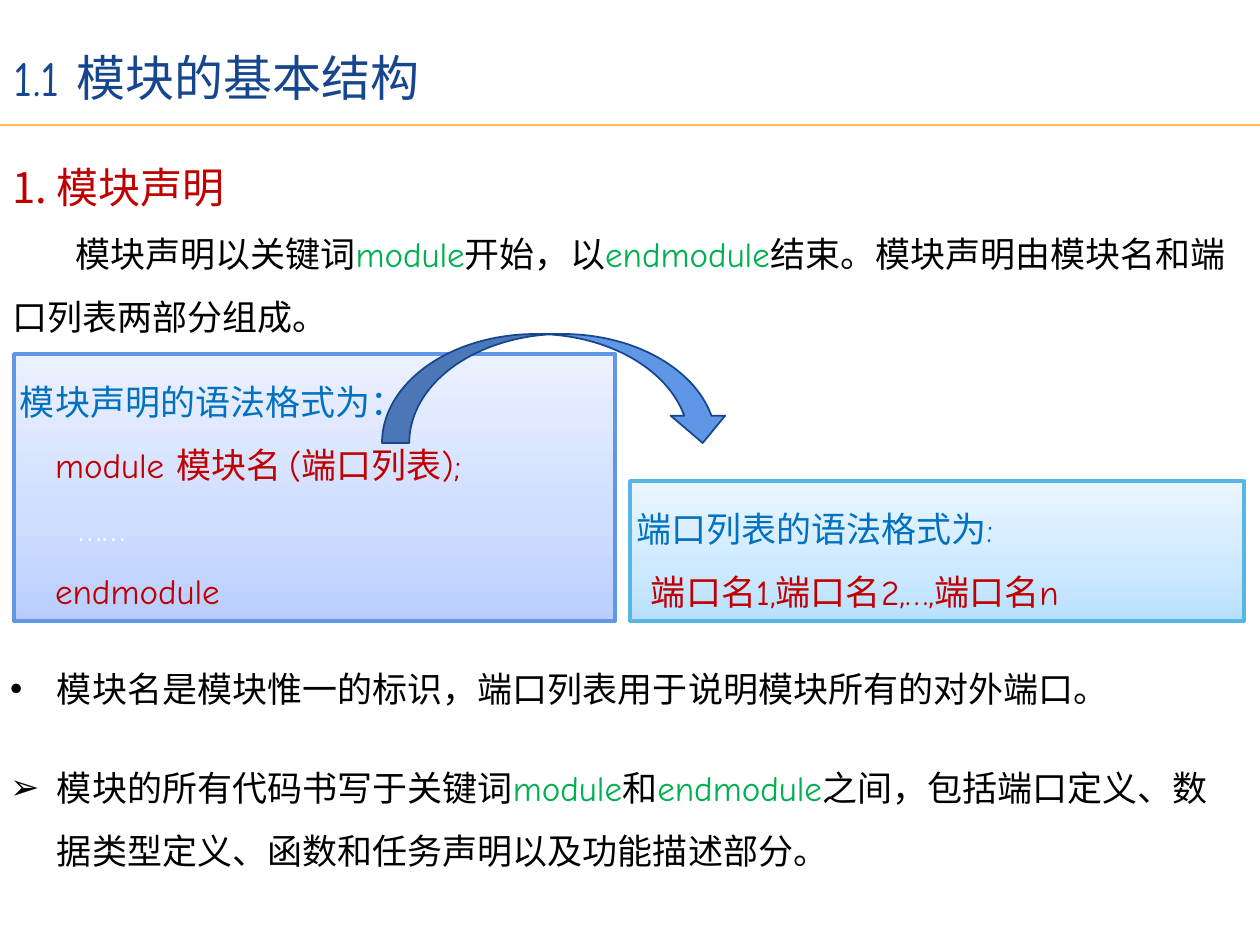
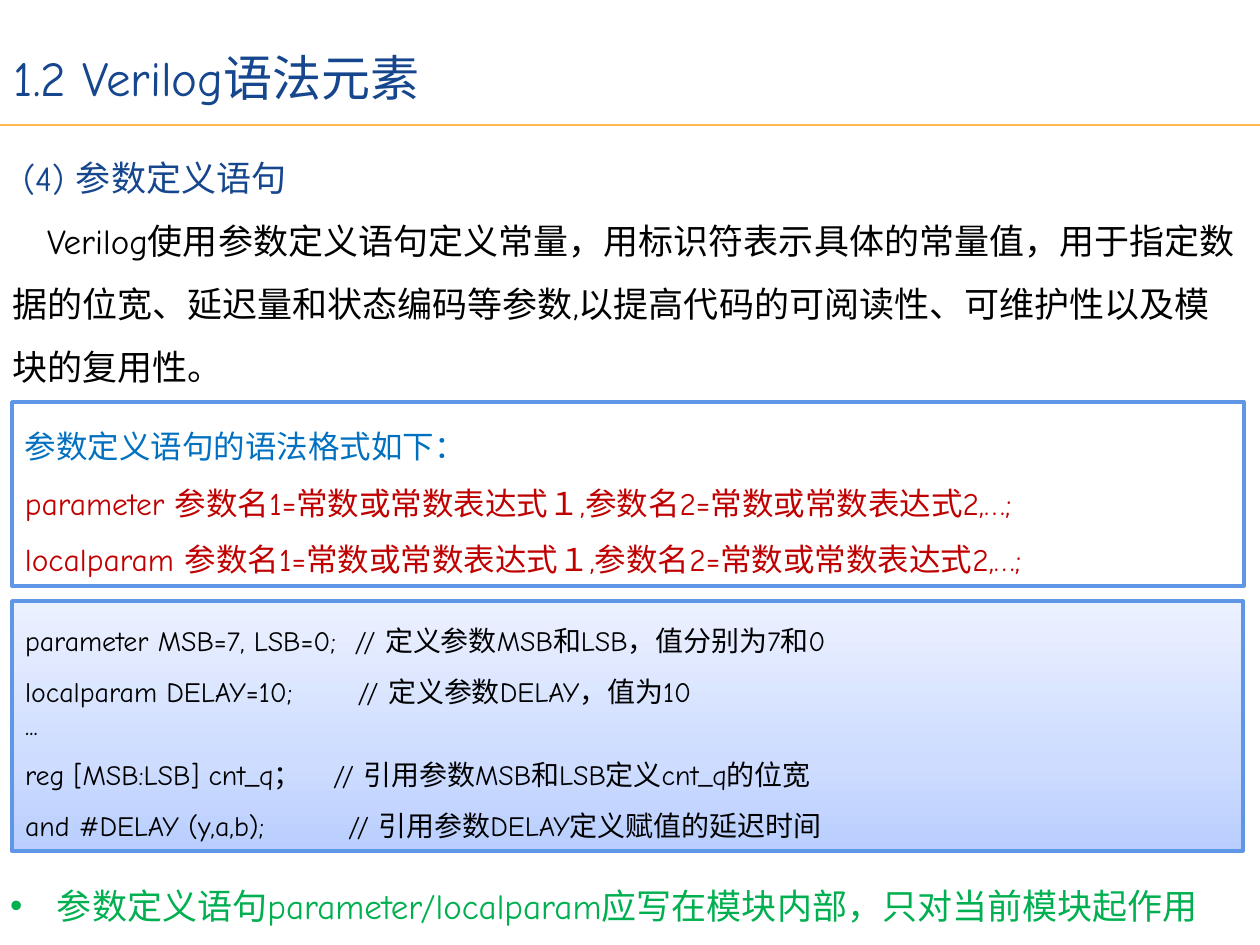
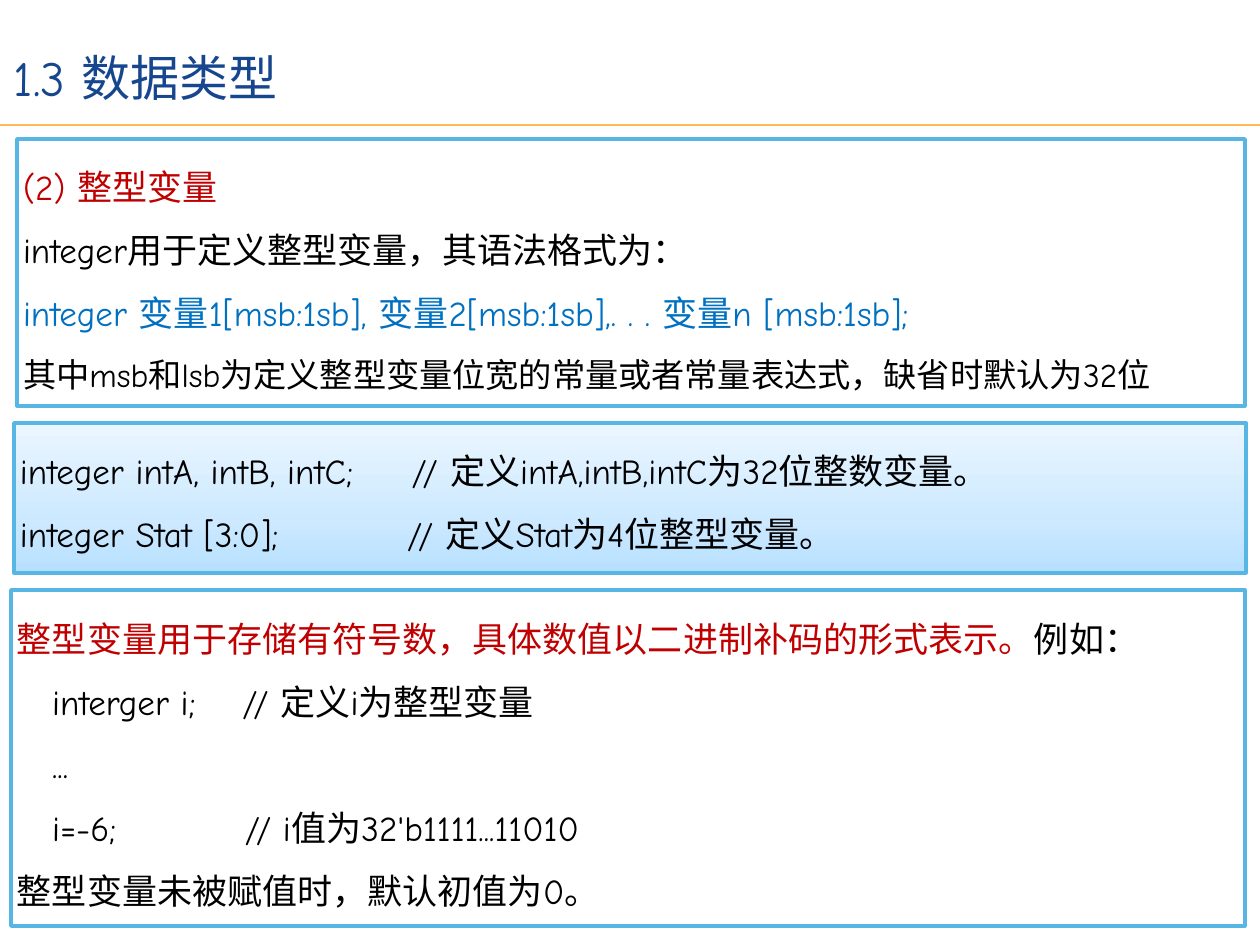
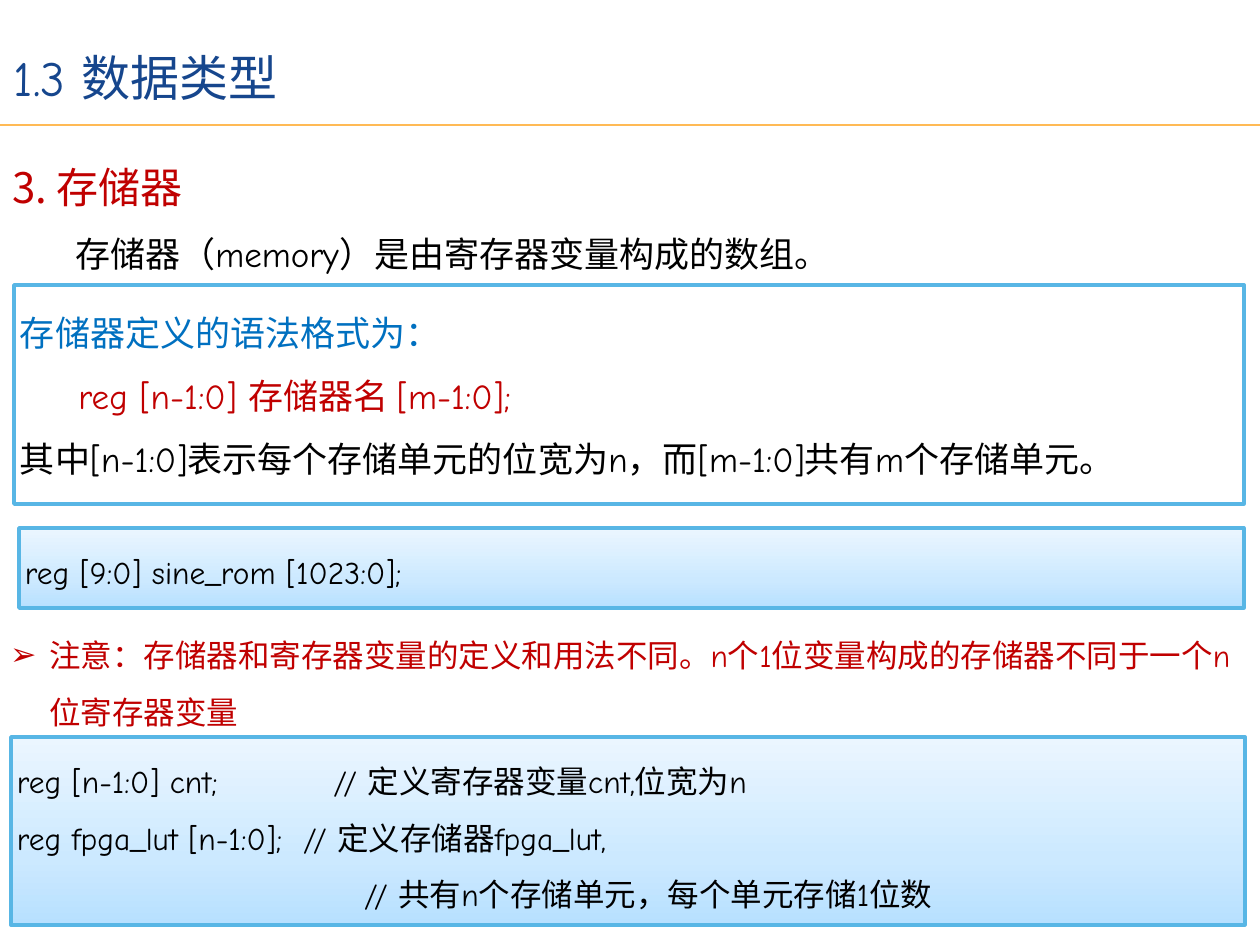
from copy import deepcopy
from lxml import etree
from pptx import Presentation
from pptx import util as u
from pptx.dml.color import RGBColor
from pptx.enum import shapes, text
from pptx.oxml.ns import qn

# Shared style
PX = 914400 / 126
NAVY = RGBColor(0x16, 0x46, 0x8D)
GOLD = RGBColor(0xFF, 0xBA, 0x55)
BLACK = RGBColor(0, 0, 0)
WHITE = RGBColor(255, 255, 255)
RED = RGBColor(0xC0, 0, 0)
GREEN = RGBColor(0, 0xB0, 0x50)
BLUE = RGBColor(0, 0x70, 0xC0)
IRIS = RGBColor(0x60, 0x96, 0xE6)
SKY = RGBColor(0x58, 0xB6, 0xE5)
# Gradient colours, from bottom to top, by line colour
FADES = {
    IRIS: [RGBColor(0xB9, 0xCE, 0xFF), RGBColor(0xCD, 0xDC, 0xFF), RGBColor(0xEC, 0xF1, 0xFF)],
    SKY: [RGBColor(0xB7, 0xE0, 0xFF), RGBColor(0xCC, 0xE9, 0xFF), RGBColor(0xEB, 0xF6, 0xFF)],
}
LATIN, HAN = "Comic Neue", "Noto Sans CJK SC"


def write(frame, paras, inset=6):
    """Fill a frame; a para is (size, runs or (text, colour), options)."""
    frame.word_wrap = True
    frame.auto_size = text.MSO_AUTO_SIZE.NONE
    frame.vertical_anchor = text.MSO_ANCHOR.TOP
    frame.margin_left = frame.margin_right = u.Emu(round(inset * PX))
    frame.margin_top = frame.margin_bottom = u.Emu(round(6 * PX))
    for i, (size, runs, *more) in enumerate(paras):
        opts = more[0] if more else {}
        para = frame.add_paragraph() if i else frame.paragraphs[0]
        para.alignment = text.PP_ALIGN.LEFT
        para.line_spacing = opts.get("space", 1.5)
        para.space_before = u.Pt(0)
        props = para._p.get_or_add_pPr()
        hang = opts.get("hang", 0)
        props.set("marL", str(round(hang * PX)))
        props.set("indent", str(round((opts.get("first", 0) - hang) * PX)))
        if "mark" in opts:
            etree.SubElement(props, qn("a:buFont"), typeface="Arial")
            etree.SubElement(props, qn("a:buChar"), char=opts["mark"])
        para.font.size = u.Pt(size)
        para.font.name = opts.get("font", LATIN)
        etree.SubElement(props.find(qn("a:defRPr")), qn("a:ea"), typeface=HAN)
        if isinstance(runs, tuple):
            para.font.color.rgb = runs[1]
            para.add_run().text = runs[0]
        else:
            for words, tint in runs:
                run = para.add_run()
                run.text = words
                run.font.color.rgb = tint


def box(slide, at, paras, edge=None, fade=False, inset=6):
    """Add a plain text box, or a framed one when edge is given."""
    area = [u.Emu(round(n * PX)) for n in at]
    if edge is None:
        write(slide.shapes.add_textbox(*area).text_frame, paras)
        return
    rect = slide.shapes.add_shape(shapes.MSO_SHAPE.RECTANGLE, *area)
    rect.shadow.inherit = False
    rect.line.color.rgb = edge
    rect.line.width = u.Pt(2)
    if fade:
        rect.fill.gradient()
        rect.fill.gradient_angle = 90
        stops = rect._element.spPr.find(".//" + qn("a:gsLst"))
        stops.append(deepcopy(stops[-1]))
        for stop, tint, pos in zip(rect.fill.gradient_stops, FADES[edge], (0, 0.35, 1)):
            stop.color.rgb = tint
            stop.position = pos
    else:
        rect.fill.background()
    write(rect.text_frame, paras, inset)


deck = Presentation()
deck.slide_width, deck.slide_height = u.Inches(10), u.Inches(7.5)

# Titles and rules of all slides
pages = []
for name in ("1.1 模块的基本结构", "1.2 Verilog语法元素", "1.3 数据类型", "1.3 数据类型"):
    page = deck.slides.add_slide(deck.slide_layouts[5])
    title = page.shapes.title
    title.left, title.top, title.width, title.height = [
        u.Emu(round(n * PX)) for n in (8, 12, 672, 102)]
    write(title.text_frame, [(28, (name, NAVY))])
    high = u.Emu(round(125 * PX))
    rule = page.shapes.add_connector(
        shapes.MSO_CONNECTOR.STRAIGHT, 0, high, deck.slide_width, high)
    rule.line.color.rgb = GOLD
    rule.line.width = u.Pt(1)
    etree.SubElement(rule._element.spPr, qn("a:effectLst"))
    pages.append(page)
first, second, third, fourth = pages

# Slide 1: module declaration
box(first, (6, 130, 1239, 217), [
    (24, ("1. 模块声明", RED), {"font": HAN}),
    (20, [("模块声明以关键词", BLACK), ("module", GREEN), ("开始，以", BLACK),
          ("endmodule", GREEN), ("结束。模块声明由模块名和端口列表两部分组成。", BLACK)],
     {"first": 63}),
])
box(first, (14, 354, 601, 267), [
    (20, ("模块声明的语法格式为：", BLUE)),
    (20, ("   module 模块名 (端口列表);", RED)),
    (20, ("     ……", WHITE)),
    (20, ("   endmodule", RED)),
], IRIS, True)
box(first, (4, 641, 1239, 76), [
    (20, ("模块名是模块惟一的标识，端口列表用于说明模块所有的对外端口。", BLACK),
     {"hang": 47, "mark": "•"}),
])
box(first, (630, 481, 614, 140), [
    (20, ("端口列表的语法格式为:", BLUE)),
    (20, ("端口名1,端口名2,…,端口名n", RED), {"first": 15}),
], SKY, True)
box(first, (4, 740, 1239, 140), [
    (20, [("模块的所有代码书写于关键词", BLACK), ("module", GREEN), ("和", BLACK),
          ("endmodule", GREEN),
          ("之间，包括端口定义、数据类型定义、函数和任务声明以及功能描述部分。", BLACK)],
     {"hang": 47, "mark": "➢"}),
])
arrow = first.shapes.add_shape(
    shapes.MSO_SHAPE.CURVED_DOWN_ARROW,
    *[u.Emu(round(n * PX)) for n in (382, 334, 348, 109)])
arrow.shadow.inherit = False
arrow.fill.solid()
arrow.fill.fore_color.rgb = IRIS
arrow.line.color.rgb = NAVY
arrow.line.width = u.Pt(1)

# Slide 2: parameter statements
box(second, (6, 130, 1239, 267), [
    (20, ("(4) 参数定义语句", NAVY), {"first": 11}),
    (20, ("Verilog使用参数定义语句定义常量，用标识符表示具体的常量值，用于指定数据的位宽、"
          "延迟量和状态编码等参数,以提高代码的可阅读性、可维护性以及模块的复用性。", BLACK),
     {"first": 35}),
])
box(second, (12, 402, 1232, 184), [
    (18, ("参数定义语句的语法格式如下：", BLUE)),
    *[(18, (word + " 参数名1=常数或常数表达式１,参数名2=常数或常数表达式2,…;", RED))
      for word in ("parameter", "localparam")],
], IRIS, inset=13)
box(second, (12, 601, 1231, 250), [
    (16, ("parameter MSB=7, LSB=0;  // 定义参数MSB和LSB，值分别为7和0", BLACK)),
    (16, ("localparam DELAY=10;       // 定义参数DELAY，值为10", BLACK)),
    (16, ("...", BLACK), {"space": 1.0}),
    (16, ("reg [MSB:LSB] cnt_q；     // 引用参数MSB和LSB定义cnt_q的位宽", BLACK)),
    (16, ("and #DELAY (y,a,b);         // 引用参数DELAY定义赋值的延迟时间", BLACK)),
], IRIS, True, 13)
box(second, (4, 858, 1239, 76), [
    (20, ("参数定义语句parameter/localparam应写在模块内部，只对当前模块起作用", GREEN),
     {"hang": 47, "mark": "•"}),
])

# Slide 3: integer variables; the note is set smaller to stay on one line
box(third, (17, 139, 1228, 267), [
    (20, ("(2) 整型变量", RED)),
    (20, ("integer用于定义整型变量，其语法格式为：", BLACK)),
    (20, ("integer 变量1[msb:1sb], 变量2[msb:1sb],. . . 变量n [msb:1sb];", BLUE)),
    (19, ("其中msb和lsb为定义整型变量位宽的常量或者常量表达式，缺省时默认为32位", BLACK)),
], SKY)
box(third, (14, 423, 1232, 150), [
    (20, ("integer intA, intB, intC;     // 定义intA,intB,intC为32位整数变量。", BLACK)),
    (20, ("integer Stat [3:0];           // 定义Stat为4位整型变量。", BLACK)),
], SKY, True)
box(third, (11, 590, 1234, 336), [
    (20, [("整型变量用于存储有符号数，具体数值以二进制补码的形式表示。", RED), ("例如：", BLACK)]),
    (20, ("   interger i;    // 定义i为整型变量", BLACK)),
    (20, ("   ...", BLACK)),
    (20, ("   i=-6;           // i值为32'b1111...11010", BLACK)),
    (20, ("整型变量未被赋值时，默认初值为0。", BLACK)),
], SKY)

# Slide 4: memories
box(fourth, (6, 130, 1239, 152), [
    (24, ("3. 存储器", RED), {"font": HAN}),
    (20, ("存储器（memory）是由寄存器变量构成的数组。", BLACK), {"first": 63}),
])
box(fourth, (14, 285, 1230, 219), [
    (20, ("存储器定义的语法格式为：", BLUE)),
    (20, ("     reg [n-1:0] 存储器名 [m-1:0];", RED)),
    (20, ("其中[n-1:0]表示每个存储单元的位宽为n，而[m-1:0]共有m个存储单元。", BLACK)),
], SKY)
box(fourth, (11, 737, 1234, 188), [
    (18, ("reg [n-1:0] cnt;           // 定义寄存器变量cnt,位宽为n", BLACK)),
    (18, ("reg fpga_lut [n-1:0];  // 定义存储器fpga_lut,", BLACK)),
    (18, ("                                 // 共有n个存储单元，每个单元存储1位数", BLACK)),
], SKY, True)
box(fourth, (19, 528, 1225, 80), [
    (18, ("reg [9:0] sine_rom [1023:0];", BLACK)),
], SKY, True)
box(fourth, (4, 611, 1239, 127), [
    (18, ("注意：存储器和寄存器变量的定义和用法不同。n个1位变量构成的存储器不同于一个n位寄存器变量", RED),
     {"hang": 39, "mark": "➢"}),
])

deck.save("out.pptx")
